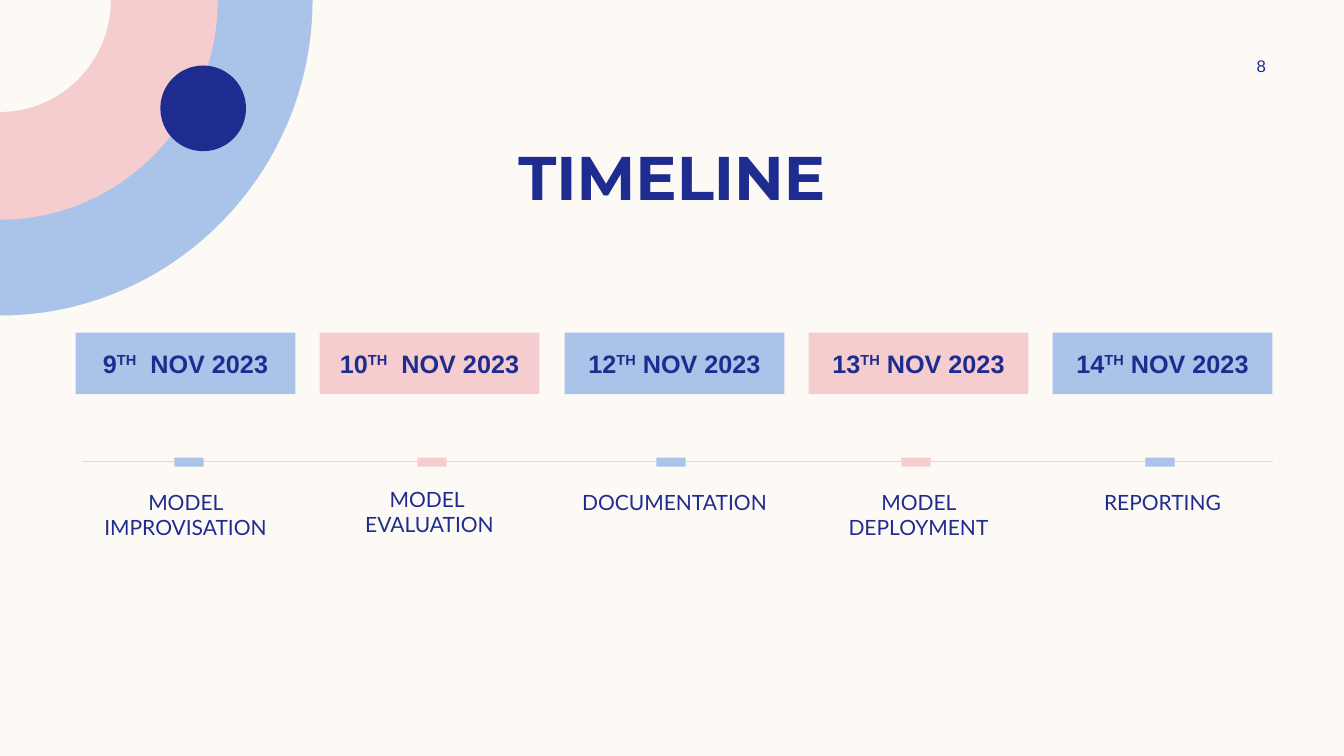
from lxml.etree import SubElement
from pptx import Presentation
from pptx.dml.color import RGBColor
from pptx.enum.shapes import MSO_CONNECTOR, MSO_SHAPE
from pptx.enum.text import MSO_ANCHOR, PP_ALIGN
from pptx.oxml.ns import qn
from pptx.util import Pt

PX = 9144
BEND = 0.55
NAVY, BLUE, PINK = "1F2C8F", "AAC3E8", "F5CDCE"
CREAM, ROSE = "FDFAF6", "F2D1D1"
FIRST, STEP, WIDE = 75, 242.25, 218
STAGES = [
    ("9", 500, "MODEL IMPROVISATION", 481, 173),
    ("10", 500, "MODEL \nEVALUATION", 478, 414),
    ("12", 0, "DOCUMENTATION", 481, 651),
    ("13", 0, "MODEL DEPLOYMENT", 481, 894),
    ("14", 0, "REPORTING", 481, 1136),
]


def emu(*sizes):
    return [round(size * PX) for size in sizes]


def color(code):
    return RGBColor.from_string(code)


def paint(shape, code):
    shape.shadow.inherit = False
    shape.fill.solid()
    shape.fill.fore_color.rgb = color(code)
    shape.line.fill.background()


def add_shape(slide, kind, box, code):
    shape = slide.shapes.add_shape(kind, *emu(*box))
    paint(shape, code)


def add_arc(slide, wide, high, code):
    form = slide.shapes.build_freeform(0, 0)
    form.add_line_segments([emu(wide, 0), emu(0, high)])
    shape = form.convert_to_shape()
    edge = list(shape._element.iter(qn("a:lnTo")))[1]
    curve = SubElement(edge.getparent(), qn("a:cubicBezTo"))
    for spot in ((wide, high * BEND), (wide * BEND, high), (0, high)):
        x, y = emu(*spot)
        SubElement(curve, qn("a:pt"), x=str(x), y=str(y))
    edge.getparent().replace(edge, curve)
    paint(shape, code)


def add_line(slide, left, right, y, code):
    line = slide.shapes.add_connector(
        MSO_CONNECTOR.STRAIGHT, *emu(left, y, right, y))
    line.line.color.rgb = color(code)
    line.line.width = Pt(1)
    SubElement(line._element.spPr, qn("a:effectLst"))


def set_frame(frame, inset, anchor):
    frame.word_wrap = True
    frame.vertical_anchor = anchor
    side, edge = emu(*inset)
    frame.margin_left = frame.margin_right = side
    frame.margin_top = frame.margin_bottom = edge


def style(frame, size, face, bold=False):
    for para in frame.paragraphs:
        para.alignment = PP_ALIGN.CENTER
        for run in para.runs:
            run.font.size = Pt(size)
            run.font.name = face
            run.font.bold = bold
            run.font.color.rgb = color(NAVY)


def add_text(slide, box, text, size, face, bold=False,
             inset=(10, 5), anchor=MSO_ANCHOR.TOP):
    frame = slide.shapes.add_textbox(*emu(*box)).text_frame
    set_frame(frame, inset, anchor)
    frame.text = text
    style(frame, size, face, bold)


def add_date(slide, left, day, gap, code):
    card = slide.shapes.add_shape(
        MSO_SHAPE.RECTANGLE, *emu(left, 330, WIDE, 61))
    paint(card, code)
    frame = card.text_frame
    set_frame(frame, (0, 0), MSO_ANCHOR.MIDDLE)
    para = frame.paragraphs[0]
    parts = (day, "TH", " ", "NOV 2023") if gap else (day, "TH", " NOV 2023")
    for part in parts:
        para.add_run().text = part
    style(frame, 18, "Arial", True)
    para.runs[1]._r.get_or_add_rPr().set("baseline", "30000")
    if gap:
        para.runs[2]._r.get_or_add_rPr().set("spc", str(gap))


def main():
    deck = Presentation()
    deck.slide_width, deck.slide_height = emu(1333, 750)
    slide = deck.slides.add_slide(deck.slide_layouts[6])
    slide.background.fill.solid()
    slide.background.fill.fore_color.rgb = color(CREAM)

    for wide, high, code in ((310, 313, BLUE), (216, 218, PINK),
                             (110, 111, CREAM)):
        add_arc(slide, wide, high, code)
    add_shape(slide, MSO_SHAPE.OVAL, (159, 65, 85, 85), NAVY)
    add_line(slide, 81, 1263, 458, ROSE)
    add_text(slide, (83, 133, 1167, 84), "TIMELINE", 44, "Montserrat", True)
    add_text(slide, (1197, 50, 108, 30), "8", 12, "Arial",
             anchor=MSO_ANCHOR.MIDDLE)

    for n, (day, gap, task, top, mark) in enumerate(STAGES):
        left = round(FIRST + n * STEP)
        code = (BLUE, PINK)[n % 2]
        add_date(slide, left, day, gap, code)
        add_shape(slide, MSO_SHAPE.RECTANGLE, (mark, 454, 29, 9), code)
        add_text(slide, (left, top, WIDE, 87), task, 15, "Lato", inset=(4, 5))

    deck.save("out.pptx")


if __name__ == "__main__":
    main()
